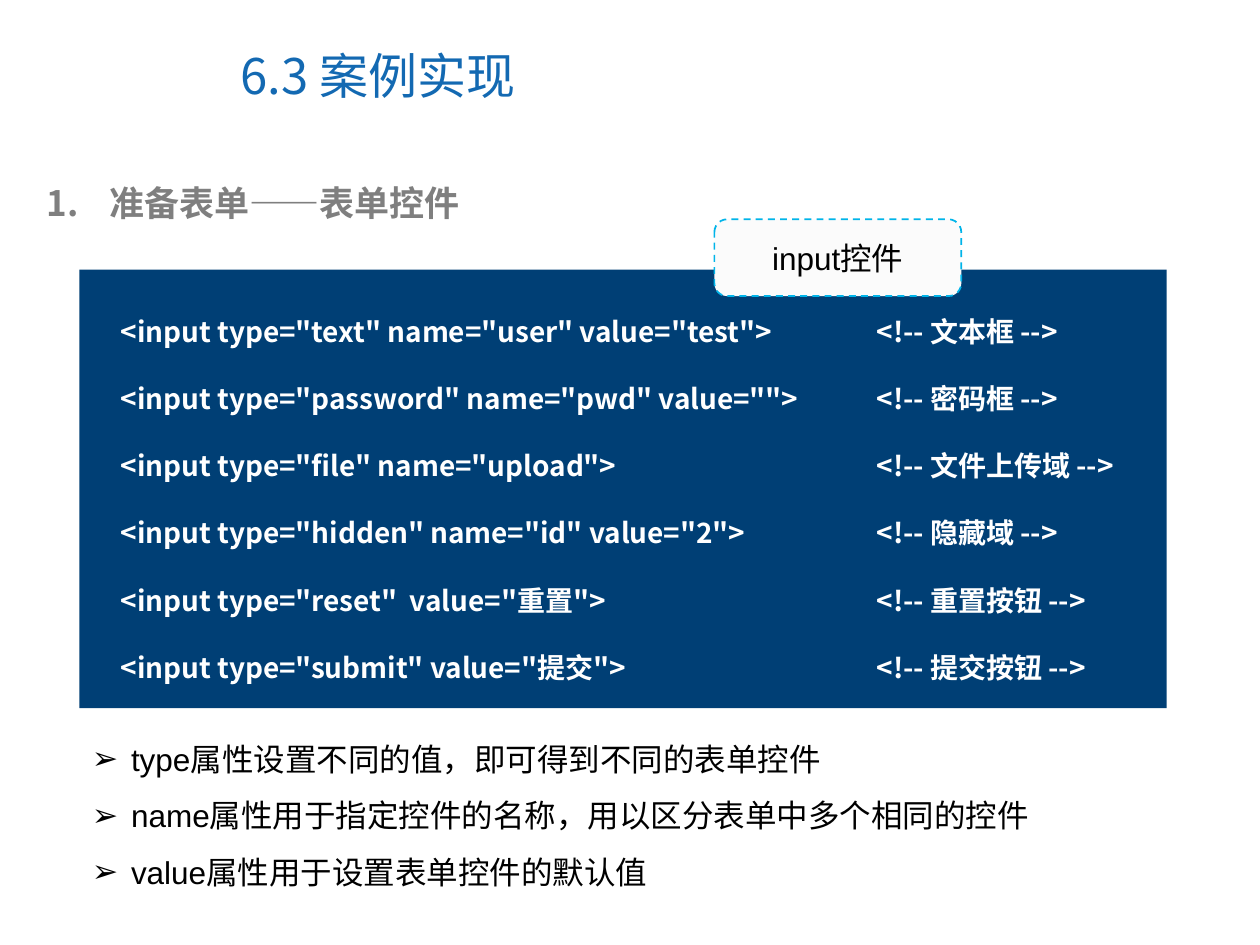
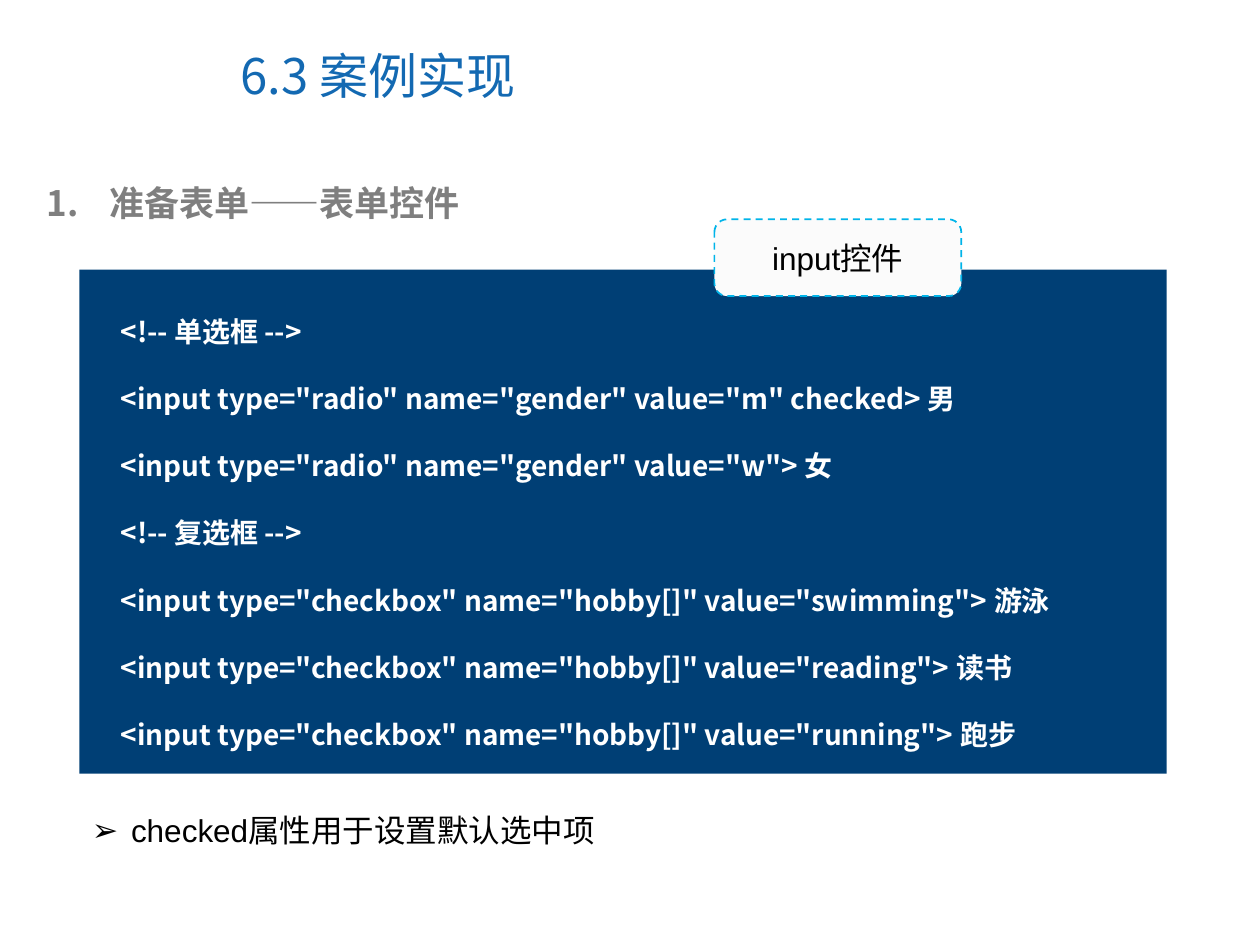
from lxml import etree
from pptx import Presentation
from pptx.dml.color import RGBColor
from pptx.enum.dml import MSO_LINE
from pptx.enum.shapes import MSO_SHAPE
from pptx.enum.text import MSO_ANCHOR, MSO_AUTO_SIZE, PP_ALIGN
from pptx.oxml.ns import qn
from pptx.util import Inches, Pt

RECTANGLE, ROUNDED = MSO_SHAPE.RECTANGLE, MSO_SHAPE.ROUNDED_RECTANGLE
LEFT, CENTER = PP_ALIGN.LEFT, PP_ALIGN.CENTER
TOP, MIDDLE = MSO_ANCHOR.TOP, MSO_ANCHOR.MIDDLE
DASH, NO_FIT = MSO_LINE.DASH, MSO_AUTO_SIZE.NONE

COLORS = {"title": "1369B2", "heading": "7F7F7F", "panel": "003F75", "code": "FFFFFF",
          "tag": "FBFBFB", "tag_line": "00B4E9", "text": "000000"}
CJK, LATIN = "Noto Sans CJK SC", "Arial"

# Grid of 100 columns by 75 rows; every box is (left, top, width, height) in cells.
SLIDE_WIDTH, SLIDE_HEIGHT = Inches(10), Inches(7.5)
COLUMN, ROW = SLIDE_WIDTH / 100, SLIDE_HEIGHT / 75
TITLE_BOX = (18.1, 1.7, 51.6, 8.5)
HEADING_BOX = (2.7, 13.9, 92.2, 4.4)
PANEL_LEFT, PANEL_TOP, PANEL_WIDTH = 6.3, 21.4, 86.3
CODE_ROWS, NOTE_ROWS = 5.2, 4.5
COMMENT_COLUMN = 60

FORM_LINES = [
    '<input type="text" name="user" value="test">\t<!-- 文本框 -->',
    '<input type="password" name="pwd" value="">\t<!-- 密码框 -->',
    '<input type="file" name="upload">\t<!-- 文件上传域 -->',
    '<input type="hidden" name="id" value="2">\t<!-- 隐藏域 -->',
    '<input type="reset"  value="重置">\t<!-- 重置按钮 -->',
    '<input type="submit" value="提交">\t<!-- 提交按钮 -->',
]
FORM_NOTES = [
    "type属性设置不同的值，即可得到不同的表单控件",
    "name属性用于指定控件的名称，用以区分表单中多个相同的控件",
    "value属性用于设置表单控件的默认值",
]
CHOICE_LINES = [
    "<!-- 单选框 -->",
    '<input type="radio" name="gender" value="m" checked> 男',
    '<input type="radio" name="gender" value="w"> 女',
    "<!-- 复选框 -->",
    '<input type="checkbox" name="hobby[]" value="swimming"> 游泳',
    '<input type="checkbox" name="hobby[]" value="reading"> 读书',
    '<input type="checkbox" name="hobby[]" value="running"> 跑步',
]
CHOICE_NOTES = ["checked属性用于设置默认选中项"]


def rgb(name):
    return RGBColor.from_string(COLORS[name])


def to_slide(box):
    left, top, width, height = box
    return [round(cells * unit) for cells, unit in
            ((left, COLUMN), (top, ROW), (width, COLUMN), (height, ROW))]


def place(shape, box):
    shape.left, shape.top, shape.width, shape.height = to_slide(box)
    return shape


def add_bullet(para, tag, indent, **attributes):
    properties = para._p.get_or_add_pPr()
    properties.set("marL", str(round(indent * COLUMN)))
    properties.set("indent", str(round(-indent * COLUMN)))
    font = etree.SubElement(properties, qn("a:buFont"))
    font.set("typeface", LATIN if tag == "a:buChar" else CJK)
    bullet = etree.SubElement(properties, qn(tag))
    for name, value in attributes.items():
        bullet.set(name, value)


def add_tab(para, column):
    tabs = etree.SubElement(para._p.get_or_add_pPr(), qn("a:tabLst"))
    etree.SubElement(tabs, qn("a:tab"), pos=str(round(column * COLUMN)), algn="l")


def write(shape, lines, *, size, color, font=CJK, bold=False, align=LEFT, anchor=TOP,
          spacing=1.0, bullet=None, tab=None):
    frame = shape.text_frame
    frame.word_wrap, frame.auto_size, frame.vertical_anchor = True, NO_FIT, anchor
    for index, line in enumerate(lines):
        para = frame.add_paragraph() if index else frame.paragraphs[0]
        if bullet:
            add_bullet(para, **bullet)
        if tab:
            add_tab(para, tab)
        para.alignment, para.line_spacing = align, spacing
        para.space_before = Pt(0)
        span = para.add_run()
        span.text = line
        span.font.size, span.font.bold, span.font.name = Pt(size), bold, font
        span.font.color.rgb = rgb(color)
        etree.SubElement(span.font._element, qn("a:ea"), typeface=CJK)


def add_block(slide, kind, box, fill):
    block = slide.shapes.add_shape(kind, *to_slide(box))
    block.shadow.inherit = False
    block.fill.solid()
    block.fill.fore_color.rgb = rgb(fill)
    block.line.fill.background()
    return block


def add_headings(slide):
    write(place(slide.shapes.title, TITLE_BOX), ["6.3 案例实现"],
          size=28, color="title", anchor=MIDDLE)
    heading = slide.shapes.add_textbox(*to_slide(HEADING_BOX))
    write(heading, ["准备表单——表单控件"], size=20, color="heading", bold=True,
          bullet={"tag": "a:buAutoNum", "indent": 5, "type": "arabicPeriod"})


def add_code_panel(slide, box, lines):
    """Dark panel with code lines and a tag that overlaps its top edge."""
    left, top, width, height = box
    add_block(slide, RECTANGLE, box, "panel")
    code = slide.shapes.add_textbox(*to_slide((left + 2.3, top + 0.4, width - 2.3, height - 1.8)))
    write(code, lines, size=16, color="code", bold=True, spacing=2.0, tab=COMMENT_COLUMN)
    tag = add_block(slide, ROUNDED, (left + 50.4, top - 4, 19.6, 6.1), "tag")
    tag.line.color.rgb = rgb("tag_line")
    tag.line.width, tag.line.dash_style = Pt(1), DASH
    write(tag, ["input控件"], size=18, color="text", font=LATIN, align=CENTER, anchor=MIDDLE)


def add_notes_list(slide, box, notes):
    write(place(slide.placeholders[1], box), notes, size=18, color="text", font=LATIN,
          spacing=1.5, bullet={"tag": "a:buChar", "indent": 3.1, "char": "➢"})


def add_code_slide(deck, lines, notes, gap):
    slide = deck.slides.add_slide(deck.slide_layouts[1])
    panel_height = 3.6 + CODE_ROWS * len(lines)
    add_headings(slide)
    add_code_panel(slide, (PANEL_LEFT, PANEL_TOP, PANEL_WIDTH, panel_height), lines)
    add_notes_list(slide, (PANEL_LEFT, PANEL_TOP + panel_height + gap, PANEL_WIDTH,
                           1 + NOTE_ROWS * len(notes)), notes)


def main():
    deck = Presentation()
    deck.slide_width, deck.slide_height = SLIDE_WIDTH, SLIDE_HEIGHT
    add_code_slide(deck, FORM_LINES, FORM_NOTES, gap=0.5)
    add_code_slide(deck, CHOICE_LINES, CHOICE_NOTES, gap=1)
    deck.save("out.pptx")


if __name__ == "__main__":
    main()
